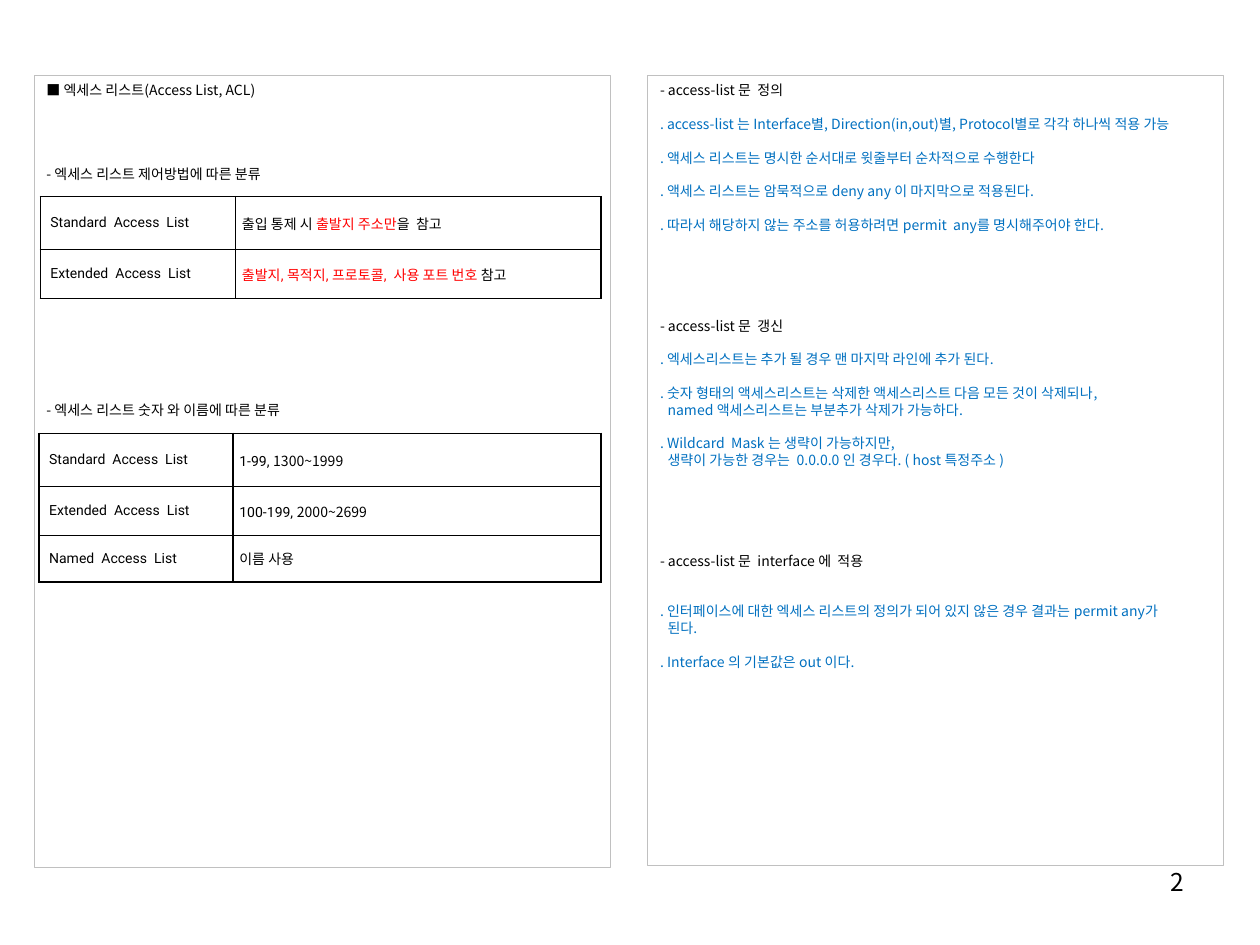
"""Build the access list summary slide with two panels and two tables."""
import pptx
import pptx.util
import pptx.dml.color
import pptx.enum.shapes
import pptx.enum.text
import pptx.oxml
import pptx.oxml.ns

Inches, Pt = pptx.util.Inches, pptx.util.Pt
RGB = pptx.dml.color.RGBColor
BLACK, WHITE = RGB(0, 0, 0), RGB(255, 255, 255)
GRAY, BLUE, RED = RGB(0xC0, 0xC0, 0xC0), RGB(0, 0x70, 0xC0), RGB(255, 0, 0)
KOREAN, LATIN = "Noto Sans CJK KR", "Roboto"
SIZE, LINE = 8, 9.6
TOP, WIDTH, HANG = 0.6, 4.57, 0.06

# (line number, indent, colour, text)
LEFT = [
    (0, 0, BLACK, "■ 엑세스 리스트(Access List, ACL)"),
    (5, 0, BLACK, "- 엑세스 리스트 제어방법에 따른 분류"),
    (19, 0, BLACK, "- 엑세스 리스트 숫자 와 이름에 따른 분류"),
]
RIGHT = [
    (0, 0, BLACK, "- access-list 문  정의"),
    (2, 0, BLUE, ". access-list 는 Interface별, Direction(in,out)별, Protocol별로 각각 하나씩 적용 가능"),
    (4, 0, BLUE, ". 액세스 리스트는 명시한 순서대로 윗줄부터 순차적으로 수행한다"),
    (6, 0, BLUE, ". 액세스 리스트는 암묵적으로 deny any 이 마지막으로 적용된다."),
    (8, 0, BLUE, ". 따라서 해당하지 않는 주소를 허용하려면 permit  any를 명시해주어야 한다."),
    (14, 0, BLACK, "- access-list 문  갱신"),
    (16, 0, BLUE, ". 엑세스리스트는 추가 될 경우 맨 마지막 라인에 추가 된다."),
    (18, 0, BLUE, ". 숫자 형태의 액세스리스트는 삭제한 액세스리스트 다음 모든 것이 삭제되나,"),
    (19, HANG, BLUE, "named 액세스리스트는 부분추가 삭제가 가능하다."),
    (21, 0, BLUE, ". Wildcard  Mask 는 생략이 가능하지만,"),
    (22, HANG, BLUE, "생략이 가능한 경우는  0.0.0.0 인 경우다. ( host 특정주소 )"),
    (28, 0, BLACK, "- access-list 문  interface 에  적용"),
    (31, 0, BLUE, ". 인터페이스에 대한 엑세스 리스트의 정의가 되어 있지 않은 경우 결과는 permit any가"),
    (32, HANG, BLUE, "된다."),
    (34, 0, BLUE, ". Interface 의 기본값은 out 이다."),
]
PANELS = [(0.27, 6.28, LEFT), (5.14, 6.27, RIGHT)]

STANDARD = [("Standard  Access  List", LATIN, BLACK)]
EXTENDED = [("Extended  Access  List", LATIN, BLACK)]
NAMED = [("Named  Access  List", LATIN, BLACK)]
CONTROL = [
    (STANDARD, [("출입 통제 시 ", LATIN, BLACK), ("출발지 주소만", LATIN, RED),
                ("을  참고", LATIN, BLACK)]),
    (EXTENDED, [("출발지, 목적지, 프로토콜,  사용 포트 번호 ", LATIN, RED),
                ("참고", LATIN, BLACK)]),
]
NUMBERS = [
    (STANDARD, [("1-99, ", LATIN, BLACK), ("1300~1999", KOREAN, BLACK)]),
    (EXTENDED, [("100-199, ", LATIN, BLACK), ("2000~2699", KOREAN, BLACK)]),
    (NAMED, [("이름 사용", LATIN, BLACK)]),
]
HEIGHTS = (0.42, 0.39, 0.37)
TABLES = [(0.32, 1.56, (1.55, 2.9), CONTROL), (0.31, 3.44, (1.54, 2.92), NUMBERS)]
INSETS = (0.08, 0.05)


def add_run(para, text, face, color, size=SIZE):
    run = para.add_run()
    run.text = text
    run.font.name, run.font.size = face, Pt(size)
    run.font.color.rgb = color
    asian = pptx.oxml.parse_xml(
        f'<a:ea {pptx.oxml.ns.nsdecls("a")} typeface="{KOREAN}"/>')
    run.font._element.append(asian)


def add_panel(slide, left, height, lines):
    box = slide.shapes.add_shape(
        pptx.enum.shapes.MSO_SHAPE.RECTANGLE,
        Inches(left), Inches(TOP), Inches(WIDTH), Inches(height))
    box.shadow.inherit = False
    box.fill.background()
    box.line.color.rgb, box.line.width = GRAY, Pt(0.25)
    frame = box.text_frame
    frame.word_wrap = True
    frame.vertical_anchor = pptx.enum.text.MSO_ANCHOR.TOP
    last = -1
    for row, indent, color, text in lines:
        para = frame.add_paragraph() if row else frame.paragraphs[0]
        para.alignment = pptx.enum.text.PP_ALIGN.LEFT
        para.line_spacing = Pt(LINE)
        para.space_before = Pt((row - last - 1) * LINE)
        para._p.get_or_add_pPr().set("marL", str(Inches(indent)))
        add_run(para, text, KOREAN, color)
        last = row


def add_border(cell):
    for side in "LRTB":
        cell._tc.get_or_add_tcPr().append(pptx.oxml.parse_xml(
            f'<a:ln{side} {pptx.oxml.ns.nsdecls("a")} w="{Pt(1)}">'
            f'<a:solidFill><a:srgbClr val="{BLACK}"/></a:solidFill></a:ln{side}>'))


def add_grid(slide, left, top, widths, rows):
    heights = HEIGHTS[:len(rows)]
    grid = slide.shapes.add_table(
        len(rows), len(widths), Inches(left), Inches(top),
        Inches(sum(widths)), Inches(sum(heights))).table
    grid.first_row = grid.horz_banding = False
    for col, width in zip(grid.columns, widths):
        col.width = Inches(width)
    for r, (height, row) in enumerate(zip(heights, rows)):
        grid.rows[r].height = Inches(height)
        for c, runs in enumerate(row):
            cell = grid.cell(r, c)
            cell.margin_left = Inches(INSETS[c])
            cell.margin_right = cell.margin_top = cell.margin_bottom = 0
            cell.vertical_anchor = pptx.enum.text.MSO_ANCHOR.MIDDLE
            add_border(cell)
            cell.fill.solid()
            cell.fill.fore_color.rgb = WHITE
            for text, face, color in runs:
                add_run(cell.text_frame.paragraphs[0], text, face, color)


def add_number(slide, text):
    box = slide.shapes.add_textbox(
        Inches(7.17), Inches(6.83), Inches(2.33), Inches(0.52))
    box.text_frame.word_wrap = True
    para = box.text_frame.paragraphs[0]
    para.alignment = pptx.enum.text.PP_ALIGN.RIGHT
    add_run(para, text, KOREAN, BLACK, 14)


def main():
    deck = pptx.Presentation()
    deck.slide_width, deck.slide_height = Inches(10), Inches(7.5)
    slide = deck.slides.add_slide(deck.slide_layouts[6])
    for panel in PANELS:
        add_panel(slide, *panel)
    for table in TABLES:
        add_grid(slide, *table)
    add_number(slide, "2")
    deck.save("out.pptx")


if __name__ == "__main__":
    main()
